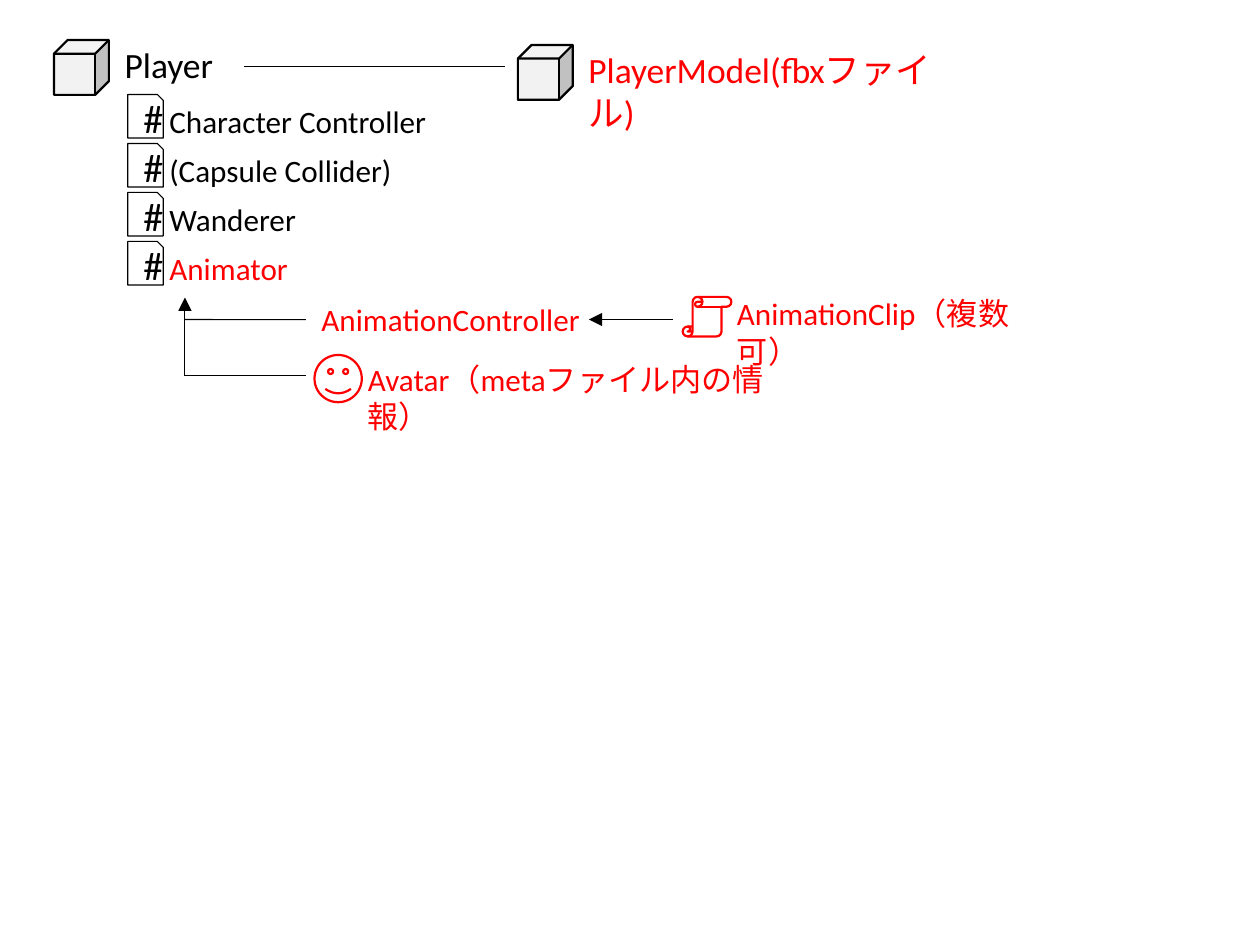
from lxml import etree
from pptx import Presentation
from pptx.dml.color import RGBColor
from pptx.enum.shapes import MSO_CONNECTOR, MSO_SHAPE
from pptx.enum.text import MSO_ANCHOR, PP_ALIGN
from pptx.oxml.ns import qn
from pptx.util import Pt

CUBE = MSO_SHAPE.CUBE
SCRIPT_ICON = MSO_SHAPE.SNIP_1_RECTANGLE
SMILEY = MSO_SHAPE.SMILEY_FACE
SCROLL = MSO_SHAPE.VERTICAL_SCROLL
STRAIGHT = MSO_CONNECTOR.STRAIGHT
MIDDLE = MSO_ANCHOR.MIDDLE
CENTER = PP_ALIGN.CENTER
COLORS = {"black": "000000", "red": "FF0000", "cube": "F2F2F2"}
LEFT_SIDE = 1

deck = Presentation()
deck.slide_width, deck.slide_height = Pt(566.93), Pt(425.2)
page = deck.slides.add_slide(deck.slide_layouts[6])


def add_text(text, left, top, width, height=24.5, size=14, color="black", wrap=False):
    box = page.shapes.add_textbox(Pt(left), Pt(top), Pt(width), Pt(height))
    box.text_frame.word_wrap = wrap
    span = box.text_frame.paragraphs[0].add_run()
    span.text = text
    span.font.name = "Calibri"
    span.font.size = Pt(size)
    span.font.color.rgb = RGBColor.from_string(COLORS[color])
    return box


def add_icon(kind, left, top, width, height, line="black", weight=1, fill=None):
    icon = page.shapes.add_shape(kind, Pt(left), Pt(top), Pt(width), Pt(height))
    icon.shadow.inherit = False
    if fill:
        icon.fill.solid()
        icon.fill.fore_color.rgb = RGBColor.from_string(COLORS[fill])
    else:
        icon.fill.background()
    icon.line.color.rgb = RGBColor.from_string(COLORS[line])
    icon.line.width = Pt(weight)
    return icon


objects = [
    ("Player", 24.3, 18, 54.7, "black", False),
    ("PlayerModel(fbxファイル)", 233, 20.2, 182.2, "red", True),
]
for name, left, top, width, color, wrap in objects:
    add_icon(CUBE, left, top, 24.7, 24.7, fill="cube")
    add_text(name, left + 24.7, top - 2.2, width, height=26.6, size=16, color=color, wrap=wrap)

components = [
    ("Character Controller", 131, "black"),
    ("(Capsule Collider)", 116, "black"),
    ("Wanderer", 72, "black"),
    ("Animator", 68.4, "red"),
]
for row, (name, width, color) in enumerate(components):
    top = 42.5 + row * 22.04
    icon = add_icon(SCRIPT_ICON, 57.5, top, 16, 19.6, weight=0.5)
    icon.text_frame.vertical_anchor = MIDDLE
    para = icon.text_frame.paragraphs[0]
    para.alignment = CENTER
    span = para.add_run()
    span.text = "#"
    span.font.name = "Calibri"
    span.font.size = Pt(18)
    span.font.color.rgb = RGBColor.from_string(COLORS["black"])
    add_text(name, 69.1, top, width, color=color)

add_icon(SMILEY, 141.5, 159.7, 21.3, 21.3, line="red")
add_text("Avatar（metaファイル内の情報）", 158.4, 158.6, 200.2, color="red", wrap=True)
controller = add_text("AnimationController", 137.6, 131.6, 132.5, color="red")
add_text("AnimationClip（複数可）", 324.5, 129.1, 152.6, color="red", wrap=True)
scroll = add_icon(SCROLL, 307.2, 133.6, 21.9, 17.8, line="red")
scroll.adjustments[0] = 0.25

links = [
    (109.8, 29.8, 227.2, 29.8, False, None),
    (83.2, 133.9, 83.2, 169, True, None),
    (83.2, 143.8, 137.6, 143.8, False, controller),
    (83.2, 169, 137.6, 169, False, None),
    (265, 143.8, 302.8, 143.8, True, None),
]
for x1, y1, x2, y2, arrow, target in links:
    link = page.shapes.add_connector(STRAIGHT, Pt(x1), Pt(y1), Pt(x2), Pt(y2))
    if target:
        link.end_connect(target, LEFT_SIDE)
    link.line.color.rgb = RGBColor.from_string(COLORS["black"])
    link.line.width = Pt(0.5)
    if arrow:
        etree.SubElement(link.line._get_or_add_ln(), qn("a:headEnd"), type="triangle")
    etree.SubElement(link._element.spPr, qn("a:effectLst"))

deck.save("out.pptx")
